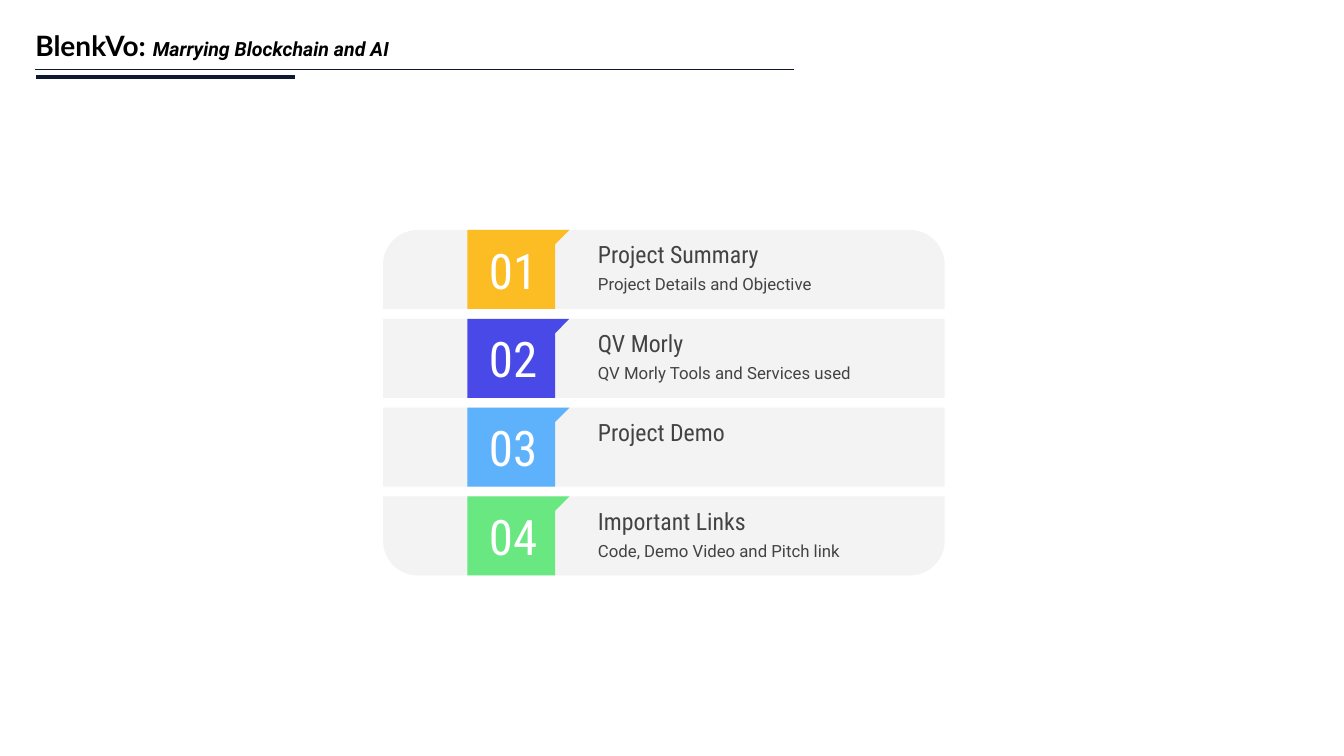
from pptx import Presentation
from pptx.dml.color import RGBColor
from pptx.enum.shapes import MSO_CONNECTOR as CONN, MSO_SHAPE as SHAPE
from pptx.enum.text import MSO_ANCHOR as ANCHOR, MSO_AUTO_SIZE as AUTO, PP_ALIGN as ALIGN
from pptx.oxml.ns import qn
from pptx.util import Pt
from lxml import etree


def paint(fill, color):
    fill.solid()
    fill.fore_color.rgb = RGBColor.from_string(color)


def write(tf, text, font, size, color, right=7.2):
    tf.word_wrap = True
    tf.vertical_anchor = ANCHOR.MIDDLE
    tf.margin_left = tf.margin_top = tf.margin_bottom = Pt(7.2)
    tf.margin_right = Pt(right)
    p = tf.paragraphs[0]
    p.text = text
    p.font.name, p.font.size = font, Pt(size)
    paint(p.font.fill, color)
    return p


prs = Presentation()
prs.slide_width, prs.slide_height = Pt(960), Pt(540)
s = prs.slides.add_slide(prs.slide_layouts[5])

title = s.shapes.title
title.left, title.top, title.width, title.height = Pt(18), Pt(16.8), Pt(526.3), Pt(31.7)
tf = title.text_frame
tf.auto_size = AUTO.NONE
tf.vertical_anchor = ANCHOR.TOP
p = tf.paragraphs[0]
p.alignment = ALIGN.LEFT
p.font.bold = True
paint(p.font.fill, "000000")
for text, font, size, italic in [
    ("BlenkVo: ", "Lato", 20, False),
    ("Marrying Blockchain and AI", "Roboto", 14, True),
]:
    r = p.add_run()
    r.text = text
    r.font.name, r.font.size, r.font.italic = font, Pt(size), italic

for left, right, y, weight in [(25.2, 567.2, 49.6, 0.75), (25.8, 210.8, 54.8, 3)]:
    rule = s.shapes.add_connector(CONN.STRAIGHT, Pt(left), Pt(y), Pt(right), Pt(y))
    paint(rule.line.fill, "0E192F")
    rule.line.width = Pt(weight)
    etree.SubElement(rule._element.spPr, qn("a:effectLst"))

TOP, PITCH, HEIGHT = 164.3, 63.45, 56.4
ROUND = 0.44
items = [
    ("Project Summary", "Project Details and Objective", "FCBD24", ROUND, 0),
    ("QV Morly", "QV Morly Tools and Services used", "4949E7", 0, 0),
    ("Project Demo", "", "5EB2FC", 0, 0),
    ("Important Links", "Code, Demo Video and Pitch link", "69E781", 0, ROUND),
]
for i, (heading, detail, color, round_top, round_bottom) in enumerate(items):
    y = TOP + i * PITCH
    bar = s.shapes.add_shape(
        SHAPE.ROUND_2_SAME_RECTANGLE, Pt(273.6), Pt(y), Pt(401.2), Pt(HEIGHT))
    bar.adjustments[0], bar.adjustments[1] = round_top, round_bottom

    fb = s.shapes.build_freeform(Pt(333.8), Pt(y))
    fb.add_line_segments([(Pt(x), Pt(y + dy)) for x, dy in [
        (333.8, HEIGHT), (396.5, HEIGHT), (396.5, 10.3), (406.7, 0)]])
    tag = fb.convert_to_shape()

    for sp, fill in [(bar, "F3F3F3"), (tag, color)]:
        paint(sp.fill, fill)
        sp.line.fill.background()
        sp.shadow.inherit = False
    p = write(tag.text_frame, f"{i + 1:02}", "Roboto Condensed", 35, "FFFFFF", 14.4)
    p.alignment = ALIGN.CENTER

    for text, dy, font, size in [
        (heading, 2.9, "Roboto Condensed", 17),
        (detail, 24.2, "Roboto", 12),
    ]:
        if text:
            box = s.shapes.add_textbox(Pt(420), Pt(y + dy), Pt(252.7), Pt(28.8))
            write(box.text_frame, text, font, size, "434343")

prs.save("out.pptx")
